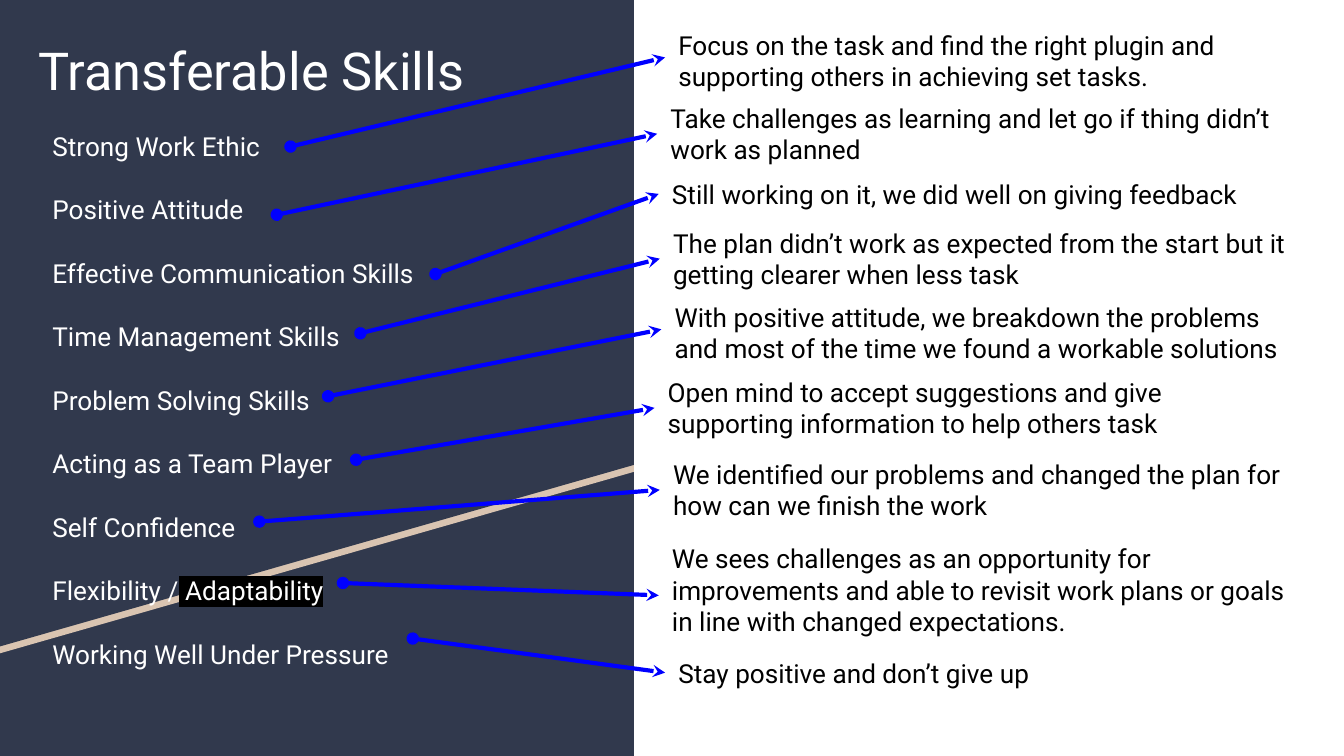
"""Build the Transferable Skills slide."""
from lxml import etree
from pptx import Presentation
from pptx.dml.color import RGBColor
from pptx.enum.shapes import MSO_CONNECTOR, MSO_SHAPE
from pptx.enum.text import MSO_ANCHOR, MSO_AUTO_SIZE, PP_ALIGN
from pptx.oxml.ns import qn
from pptx.util import Cm, Pt

STRAIGHT = MSO_CONNECTOR.STRAIGHT
RECTANGLE = MSO_SHAPE.RECTANGLE
TOP = MSO_ANCHOR.TOP
NO_FIT = MSO_AUTO_SIZE.NONE
LEFT = PP_ALIGN.LEFT

FONT = "Roboto"
WHITE, BLACK, BLUE = "FFFFFF", "000000", "0000FF"
NAVY, SAND = "31394D", "D9C4B1"
PAGE_WIDTH, PAGE_HEIGHT = 25.4, 14.29
PANEL_WIDTH = 11.98
STRIPE_DROP = 0.13
INSET = 0.25

SKILLS = [
    ["Strong Work Ethic"],
    ["Positive Attitude"],
    ["Effective Communication Skills"],
    ["Time Management Skills"],
    ["Problem Solving Skills"],
    ["Acting as a Team Player"],
    ["Self Confidence"],
    ["Flexibility /", " Adaptability"],
    ["Working Well Under Pressure"],
]
HIGHLIGHTED = " Adaptability"

# Arrow start, then left, top, width and height of the answer.
ANSWERS = [
    ((5.49, 2.77), (12.57, 0.3, 12.4, 1.57),
     "Focus on the task and find the right plugin and supporting others in achieving set tasks."),
    ((5.23, 4.06), (12.42, 1.68, 12.24, 1.7),
     "Take challenges as learning and let go if thing didn’t work as planned"),
    ((8.23, 5.18), (12.45, 3.12, 12.19, 1.09),
     "Still working on it, we did well on giving feedback"),
    ((6.81, 6.3), (12.47, 4.04, 12.4, 1.7),
     "The plan didn’t work as expected from the start but it getting clearer when less task"),
    ((6.2, 7.49), (12.5, 5.44, 11.94, 1.57),
     "With positive attitude, we breakdown the problems and most of the time "
     "we found a workable solutions"),
    ((6.73, 8.69), (12.37, 6.86, 12.19, 1.7),
     "Open mind to accept suggestions and give supporting information to help others task"),
    ((4.9, 9.86), (12.47, 8.41, 12.4, 1.7),
     "We identified our problems and changed the plan for how can we finish the work"),
    ((6.48, 11.02), (12.45, 10.01, 12.52, 2.49),
     "We sees challenges as an opportunity for improvements and able to revisit work plans "
     "or goals in line with changed expectations."),
    ((7.8, 12.07), (12.57, 12.17, 12.52, 1.09),
     "Stay positive and don’t give up"),
]


def color(value):
    """Turn a hex string into a colour."""
    return RGBColor.from_string(value)


def paint(shape, fill):
    """Give a shape a plain fill without line or shadow."""
    shape.fill.solid()
    shape.fill.fore_color.rgb = color(fill)
    shape.line.fill.background()
    shape.shadow.inherit = False


def add_slanted_panel(page, drop, fill):
    """Add a panel with a slanted lower edge, moved down by drop."""
    corners = [(0, drop), (PANEL_WIDTH, drop),
               (PANEL_WIDTH, 8.79 + drop), (0, 12.22 + drop)]
    points = [(Cm(x), Cm(y)) for x, y in corners]
    builder = page.shapes.build_freeform(*points[0])
    builder.add_line_segments(points[1:], close=True)
    paint(builder.convert_to_shape(), fill)


def add_background(page):
    """Add the dark left half with its sand stripe."""
    panel = page.shapes.add_shape(RECTANGLE, 0, 0, Cm(PANEL_WIDTH), Cm(PAGE_HEIGHT))
    paint(panel, NAVY)
    add_slanted_panel(page, STRIPE_DROP, SAND)
    add_slanted_panel(page, 0, NAVY)


def format_frame(frame):
    """Set wrapping, anchor and insets of a text frame."""
    frame.word_wrap = True
    frame.auto_size = NO_FIT
    frame.vertical_anchor = TOP
    frame.margin_left = frame.margin_right = Cm(INSET)
    frame.margin_top = frame.margin_bottom = Cm(INSET)


def format_para(para, size, text_color):
    """Set alignment and font of a paragraph."""
    para.alignment = LEFT
    para.font.name = FONT
    para.font.size = Pt(size)
    para.font.color.rgb = color(text_color)


def place_title(page):
    """Fill the title placeholder and bring it in front of the panel."""
    title = page.shapes.title
    title.left, title.top, title.width, title.height = map(Cm, (0.48, 0.48, 11.58, 1.35))
    title.text_frame.text = "Transferable Skills"
    format_frame(title.text_frame)
    format_para(title.text_frame.paragraphs[0], 28, WHITE)
    tree = title._element.getparent()
    tree.append(title._element)


def add_text(page, place, lines, text_color, gap=0):
    """Add a text box with one paragraph for each list of runs."""
    frame = page.shapes.add_textbox(*map(Cm, place)).text_frame
    format_frame(frame)
    for index, texts in enumerate(lines):
        para = frame.add_paragraph() if index else frame.paragraphs[0]
        if index and gap:
            para.space_before = Pt(gap)
        format_para(para, 14, text_color)
        for text in texts:
            span = para.add_run()
            span.text = text
            if text == HIGHLIGHTED:
                highlight(span, BLACK)


def highlight(span, fill):
    """Put a highlight colour behind a run."""
    mark = etree.SubElement(span._r.get_or_add_rPr(), qn("a:highlight"))
    etree.SubElement(mark, qn("a:srgbClr"), val=fill)


def add_arrow(page, start, end):
    """Add a blue arrow from a dot to a stealth head."""
    arrow = page.shapes.add_connector(STRAIGHT, *map(Cm, (*start, *end)))
    arrow.line.color.rgb = color(BLUE)
    arrow.line.width = Pt(2.25)
    line = arrow.line._get_or_add_ln()
    etree.SubElement(line, qn("a:headEnd"), type="oval")
    etree.SubElement(line, qn("a:tailEnd"), type="stealth")
    etree.SubElement(arrow._element.spPr, qn("a:effectLst"))


def main():
    """Build and save the deck."""
    deck = Presentation()
    deck.slide_width, deck.slide_height = Cm(PAGE_WIDTH), Cm(PAGE_HEIGHT)
    page = deck.slides.add_slide(deck.slide_layouts.get_by_name("Title Only"))
    add_background(page)
    place_title(page)
    add_text(page, (0.74, 2.21, 9.75, 11.73), SKILLS, WHITE, gap=17.2)
    for _, place, text in ANSWERS:
        add_text(page, place, [[text]], BLACK)
    for start, (left, top, _, height), _ in ANSWERS:
        add_arrow(page, start, (left, top + height / 2))
    deck.save("out.pptx")


if __name__ == "__main__":
    main()
